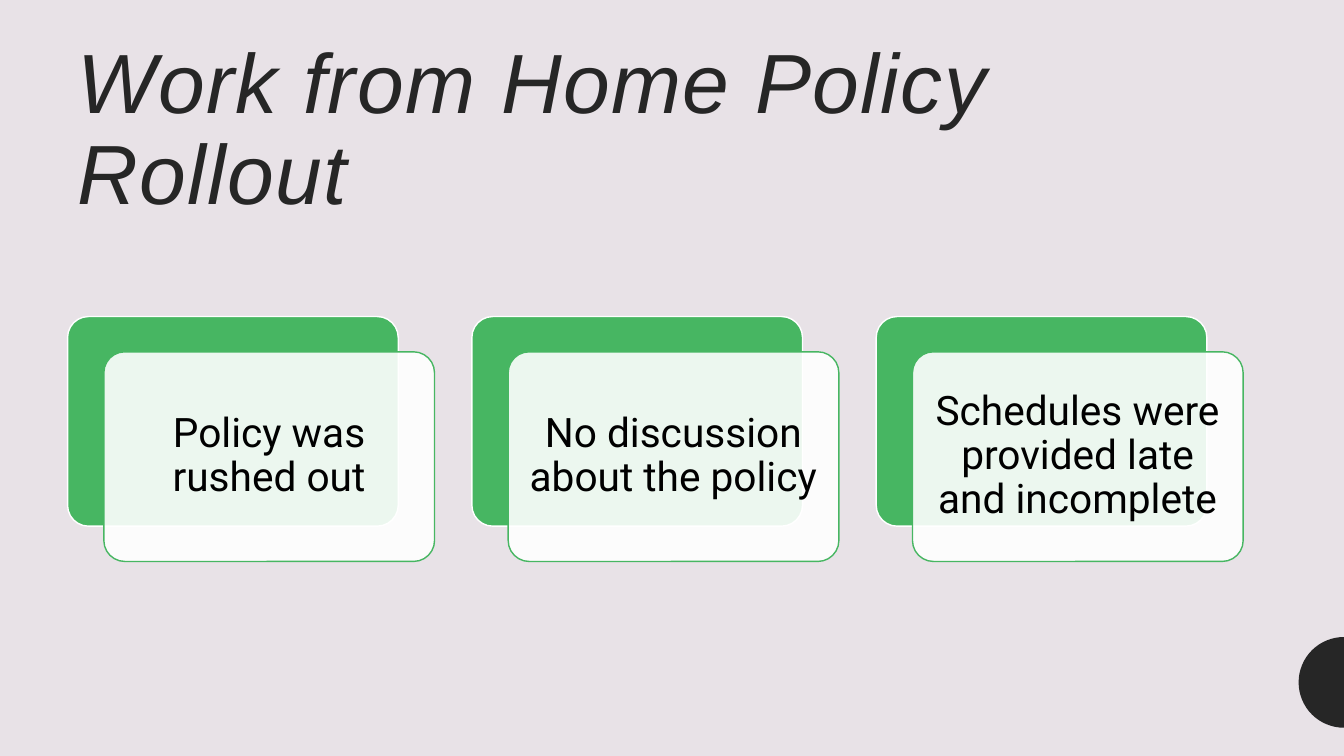
from math import cos, pi, sin

from lxml import etree
from pptx import Presentation
from pptx.dml.color import RGBColor
from pptx.enum.shapes import MSO_SHAPE
from pptx.enum.text import MSO_ANCHOR, PP_ALIGN
from pptx.oxml.ns import qn
from pptx.util import Inches, Pt

ROUNDED = MSO_SHAPE.ROUNDED_RECTANGLE
MIDDLE, TOP = MSO_ANCHOR.MIDDLE, MSO_ANCHOR.TOP
CENTER = PP_ALIGN.CENTER

TITLE = "Work from Home Policy Rollout"
ISSUES = [
    "Policy was rushed out",
    "No discussion about the policy",
    "Schedules were provided late and incomplete",
]

THEME = {
    "background": RGBColor(0xE8, 0xE2, 0xE7),
    "dark": RGBColor(0x26, 0x26, 0x26),
    "green": RGBColor(0x47, 0xB6, 0x62),
    "white": RGBColor(0xFF, 0xFF, 0xFF),
    "black": RGBColor(0, 0, 0),
    "title_font": "Arial",
    "title_size": Pt(60),
    "card_font": "Roboto",
    "card_size": Pt(29),
    "line": Pt(1),
    "line_spacing": 0.9,
}

SLIDE_W, SLIDE_H = 13.33, 7.5
CARD_W, CARD_H = 3.28, 2.08
CARD_LEFT, CARD_TOP, CARD_PITCH = 0.67, 3.14, 4.01
FRONT_DX, FRONT_DY = 0.36, 0.35
CARD_INSET = 0.12
DISC_Y, DISC_R = 6.77, 0.45


def style_text(p, font, size, color):
    p.font.name, p.font.size = font, size
    p.font.color.rgb = color
    p.line_spacing = THEME["line_spacing"]


def add_title(slide):
    box = slide.shapes.add_textbox(Inches(0.67), Inches(0.36), Inches(11.67), Inches(1.16))
    tf = box.text_frame
    tf.word_wrap = True
    tf.vertical_anchor = TOP
    p = tf.paragraphs[0]
    r = p.add_run()
    r.text = TITLE
    r.font._element.set("spc", "100")
    style_text(p, THEME["title_font"], THEME["title_size"], THEME["dark"])
    p.font.italic = True


def add_half_disc(slide):
    """Half disc whose flat side lies on the right edge of the slide."""
    steps = 32
    angles = [pi * i / steps for i in range(steps + 1)]
    points = [(Inches(SLIDE_W - DISC_R * sin(a)), Inches(DISC_Y - DISC_R * cos(a)))
              for a in angles]
    builder = slide.shapes.build_freeform(*points[0])
    builder.add_line_segments(points[1:], close=True)
    sp = builder.convert_to_shape()
    sp.shadow.inherit = False
    sp.fill.solid()
    sp.fill.fore_color.rgb = THEME["dark"]
    sp.line.fill.background()


def add_panel(slide, left, top, fill, line):
    sp = slide.shapes.add_shape(ROUNDED, Inches(left), Inches(top),
                                Inches(CARD_W), Inches(CARD_H))
    sp.adjustments[0] = 0.1
    sp.shadow.inherit = False
    sp.fill.solid()
    sp.fill.fore_color.rgb = fill
    sp.line.color.rgb = line
    sp.line.width = THEME["line"]
    return sp


def set_opacity(sp, percent):
    color = sp._element.spPr.find(qn("a:solidFill"))[0]
    etree.SubElement(color, qn("a:alpha")).set("val", str(percent * 1000))


def add_card(slide, left, text):
    """Green panel with a translucent white panel, holding the text, in front."""
    add_panel(slide, left, CARD_TOP, THEME["green"], THEME["white"])
    front = add_panel(slide, left + FRONT_DX, CARD_TOP + FRONT_DY,
                      THEME["white"], THEME["green"])
    set_opacity(front, 90)
    tf = front.text_frame
    tf.word_wrap = True
    tf.vertical_anchor = MIDDLE
    tf.margin_left = tf.margin_right = Inches(CARD_INSET)
    tf.margin_top = tf.margin_bottom = Inches(CARD_INSET)
    p = tf.paragraphs[0]
    p.text = text
    p.alignment = CENTER
    style_text(p, THEME["card_font"], THEME["card_size"], THEME["black"])


def main():
    prs = Presentation()
    prs.slide_width, prs.slide_height = Inches(SLIDE_W), Inches(SLIDE_H)
    slide = prs.slides.add_slide(prs.slide_layouts[6])
    slide.background.fill.solid()
    slide.background.fill.fore_color.rgb = THEME["background"]
    add_half_disc(slide)
    add_title(slide)
    for i, issue in enumerate(ISSUES):
        add_card(slide, CARD_LEFT + i * CARD_PITCH, issue)
    prs.save("out.pptx")


if __name__ == "__main__":
    main()
